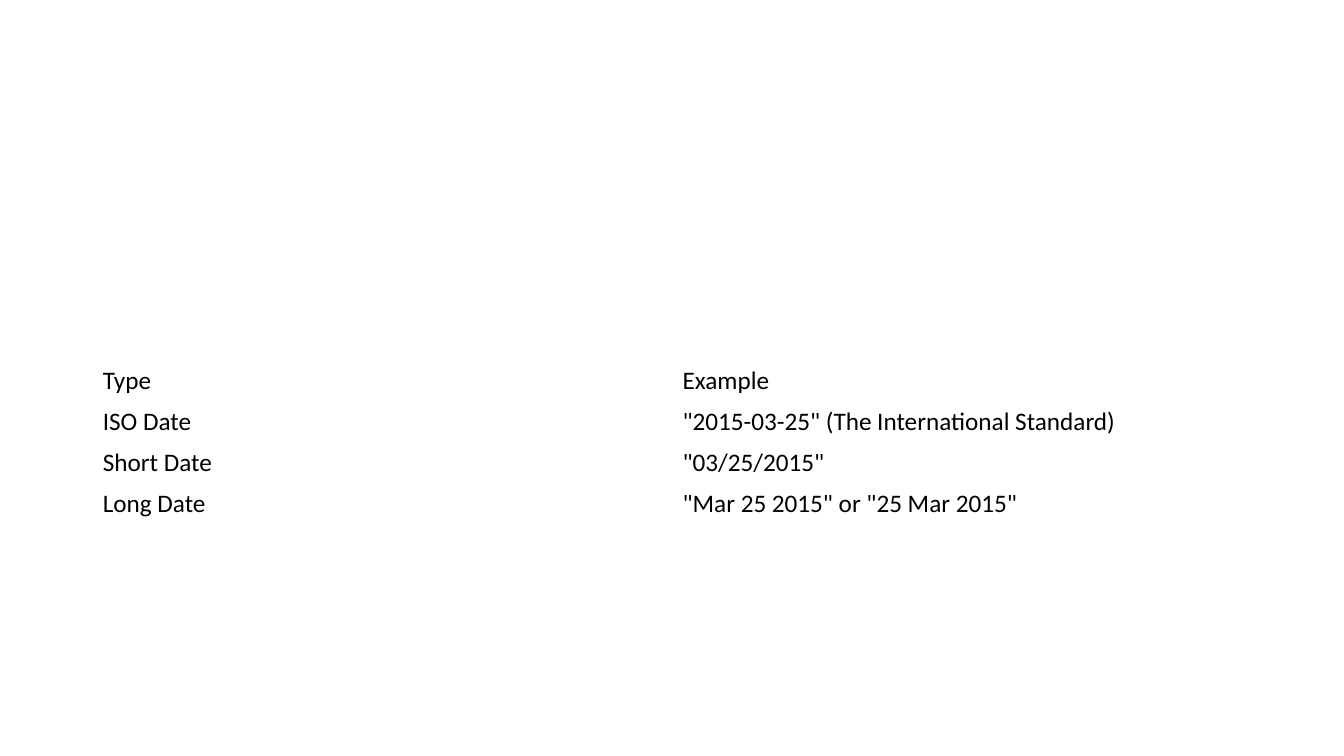
from pptx import Presentation
from pptx.dml.color import RGBColor
from pptx.enum.text import MSO_ANCHOR
from pptx.util import Inches, Pt

COLORS = {"text": "000000"}
DATE_FORMATS = [
    ("Type", "Example"),
    ("ISO Date", '"2015-03-25" (The International Standard)'),
    ("Short Date", '"03/25/2015"'),
    ("Long Date", '"Mar 25 2015" or "25 Mar 2015"'),
]


def write_text(cell, text, size=18, font="Calibri", color="text"):
    span = cell.text_frame.paragraphs[0].add_run()
    span.text = text
    span.font.size = Pt(size)
    span.font.name = font
    span.font.bold = False
    span.font.color.rgb = RGBColor.from_string(COLORS[color])


deck = Presentation()
deck.slide_width = Inches(13.33)
deck.slide_height = Inches(7.5)
page = deck.slides.add_slide(deck.slide_layouts[6])

table = page.shapes.add_table(
    len(DATE_FORMATS), 2, Inches(0.92), Inches(3.58), Inches(11.5), Inches(1.6)
).table
table.first_row = False
table.horz_banding = False

for row, entries in enumerate(DATE_FORMATS):
    for column, text in enumerate(entries):
        cell = table.cell(row, column)
        cell.fill.background()
        cell.vertical_anchor = MSO_ANCHOR.MIDDLE
        write_text(cell, text)

deck.save("out.pptx")
